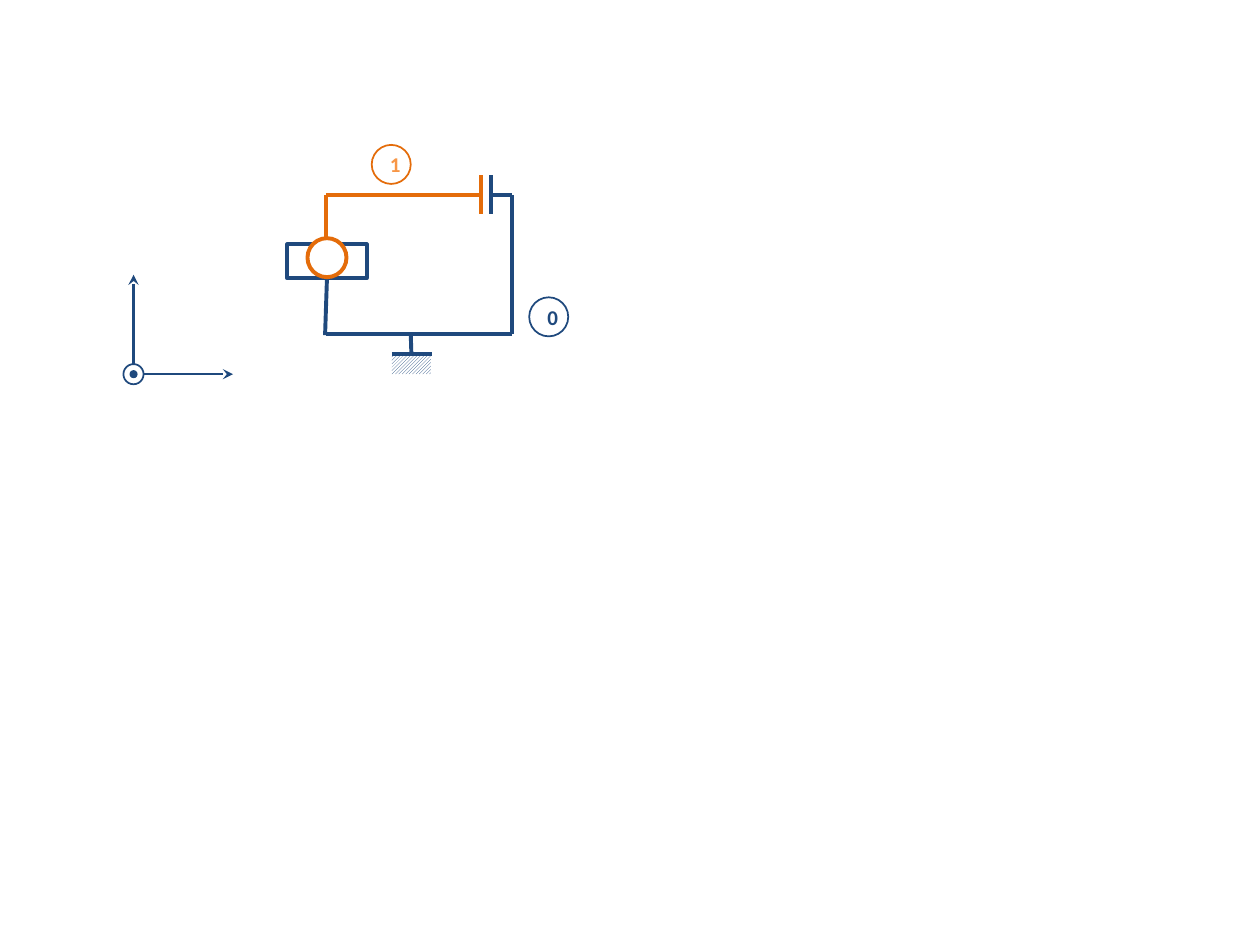
"""Draw a kinematic diagram with its axes, two numbered links and a ground."""
from dataclasses import dataclass

from lxml.etree import SubElement
from pptx import Presentation
from pptx.dml.color import RGBColor
from pptx.enum.dml import MSO_PATTERN
from pptx.enum.shapes import MSO_CONNECTOR, MSO_SHAPE
from pptx.enum.text import MSO_ANCHOR, PP_ALIGN
from pptx.oxml.ns import qn
from pptx.util import Inches, Pt


@dataclass(frozen=True)
class Theme:
    blue: RGBColor = RGBColor(0x1F, 0x49, 0x7D)
    orange: RGBColor = RGBColor(0xE4, 0x6C, 0x0A)
    light_orange: RGBColor = RGBColor(0xF7, 0x96, 0x46)
    white: RGBColor = RGBColor(0xFF, 0xFF, 0xFF)
    font: str = "Calibri"
    label: Pt = Pt(12)
    thin: Pt = Pt(1)
    axis: Pt = Pt(1.5)
    bar: Pt = Pt(2.25)


T = Theme()


def add_shape(kind, box, line=None, width=T.thin, fill=None):
    sp = s.shapes.add_shape(kind, *map(Inches, box))
    sp.shadow.inherit = False
    if fill is None:
        sp.fill.background()
    else:
        sp.fill.solid()
        sp.fill.fore_color.rgb = fill
    if line is None:
        sp.line.fill.background()
    else:
        sp.line.color.rgb = line
        sp.line.width = width
    return sp


def add_line(x1, y1, x2, y2, color=T.blue, width=T.bar, arrow=False):
    c = s.shapes.add_connector(MSO_CONNECTOR.STRAIGHT, *map(Inches, (x1, y1, x2, y2)))
    c.line.color.rgb = color
    c.line.width = width
    sp_pr = c._element.spPr
    if arrow:
        SubElement(sp_pr.find(qn("a:ln")), qn("a:tailEnd"), type="stealth")
    SubElement(sp_pr, qn("a:effectLst"))
    return c


prs = Presentation()
prs.slide_width, prs.slide_height = Inches(10), Inches(7.5)
s = prs.slides.add_slide(prs.slide_layouts[6])

left, right, top, bottom = 2.59, 4.06, 1.55, 2.65
contact_1, contact_0 = 3.82, 3.9
ground_x, ground_y = 3.26, 2.81
origin_x, origin_y, axis_length = 1.06, 2.97, 0.79
circle = 0.31

slot = add_shape(MSO_SHAPE.RECTANGLE, (2.28, 1.94, 0.63, 0.27), T.blue, T.bar)
add_line(left, top, contact_1, top, T.orange)
slot_stem = add_line(left, 2.21, 2.58, 2.66)
slot_stem.begin_connect(slot, 2)
add_line(left, bottom, right, bottom)
add_line(right, top, right, bottom)

ground_stem = add_line(ground_x, bottom, ground_x, ground_y)
ground = add_shape(MSO_SHAPE.RECTANGLE, (3.11, ground_y, circle, 0.16))
ground.fill.patterned()
ground.fill.pattern = MSO_PATTERN.LIGHT_UPWARD_DIAGONAL
ground.fill.fore_color.rgb = T.blue
ground.fill.back_color.rgb = T.white
ground_stem.end_connect(ground, 0)
add_line(3.11, ground_y, 3.43, ground_y)

for dx, dy in ((0, -axis_length), (axis_length, 0)):
    add_line(origin_x, origin_y, origin_x + dx, origin_y + dy, width=T.axis, arrow=True)
for size, fill in ((0.16, T.white), (0.05, T.blue)):
    box = (origin_x - size / 2, origin_y - size / 2, size, size)
    add_shape(MSO_SHAPE.OVAL, box, T.blue, fill=fill)

for text, x, y, line, color in (
    ("1", 2.95, 1.15, T.orange, T.light_orange),
    ("0", 4.2, 2.36, T.blue, T.blue),
):
    sp = add_shape(MSO_SHAPE.OVAL, (x, y, circle, circle), line)
    tf = sp.text_frame
    tf.vertical_anchor = MSO_ANCHOR.MIDDLE
    p = tf.paragraphs[0]
    p.alignment = PP_ALIGN.CENTER
    r = p.add_run()
    r.text = text
    for name, value in {"name": T.font, "size": T.label, "bold": True}.items():
        setattr(r.font, name, value)
    r.font.color.rgb = color

add_shape(MSO_SHAPE.OVAL, (2.44, 1.89, circle, circle), T.orange, T.bar, T.white)
add_line(left, top, left, 1.89, T.orange)
for x, color in ((contact_1, T.orange), (contact_0, T.blue)):
    add_line(x, 1.39, x, 1.7, color)
add_line(right, top, contact_0, top)

prs.save("out.pptx")
